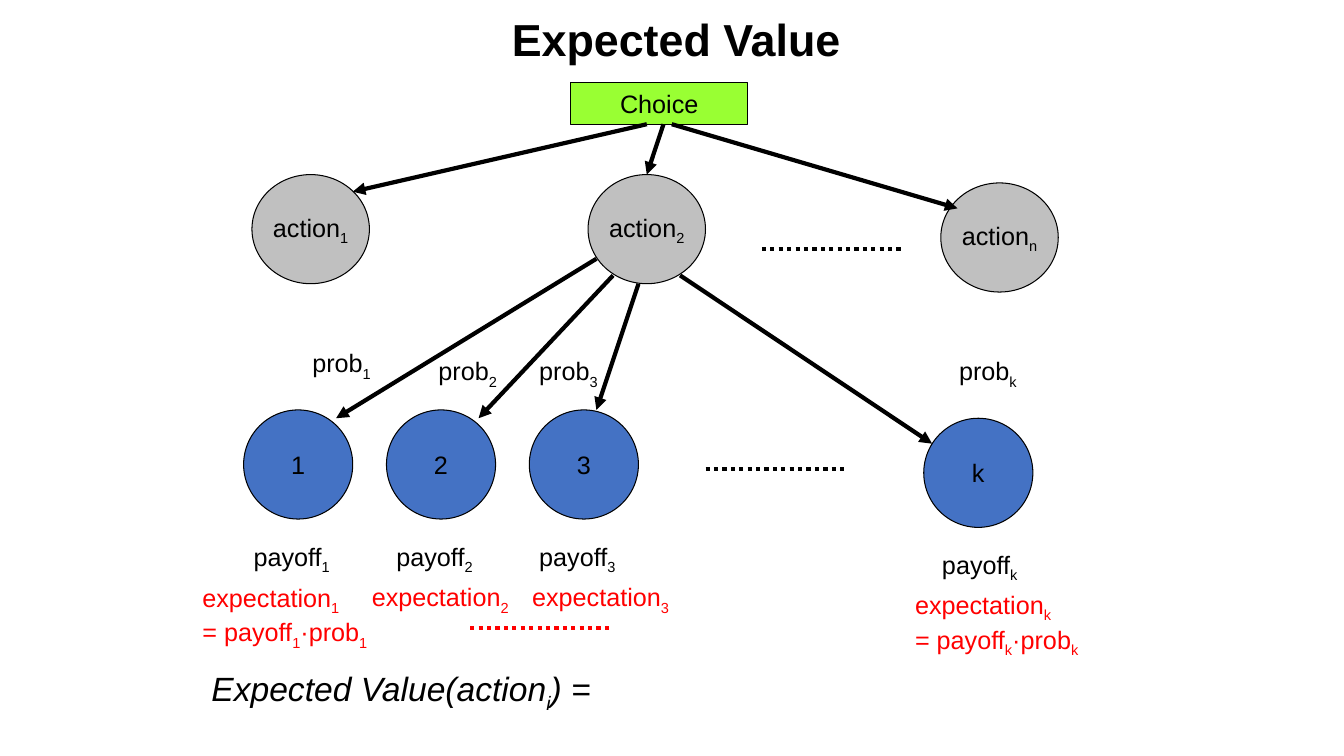
"""Build the Expected Value decision tree slide."""
from dataclasses import dataclass

from lxml.etree import SubElement
from pptx import Presentation
from pptx.dml.color import RGBColor
from pptx.enum.dml import MSO_LINE
from pptx.enum.shapes import MSO_CONNECTOR, MSO_SHAPE
from pptx.enum.text import MSO_ANCHOR, PP_ALIGN
from pptx.oxml.ns import qn
from pptx.util import Cm, Pt

TITLE = ("Expected Value", (7.42, 0.18, 19.25, 1.6))
FORMULA = ("Expected Value(action|i|) =", (5.08, 16.71, 11.23, 1.27))
CHOICE = ("Choice", (14.39, 2.08, 4.45, 1.06))
ACTIONS = [("1", 6.35, 4.4), ("2", 14.82, 4.4), ("n", 23.71, 4.61)]
OUTCOMES = [("1", 6.14, 10.33), ("2", 9.74, 10.33), ("3", 13.34, 10.33), ("k", 23.28, 10.54)]
PROBABILITIES = [("1", 7.62, 8.64), ("2", 10.8, 8.84), ("3", 13.34, 8.84), ("k", 23.92, 8.84)]
PAYOFFS = [("1", 6.14, 13.51), ("2", 9.74, 13.51), ("3", 13.34, 13.51), ("k", 23.49, 13.72)]
EXPECTATIONS = [("1", 4.85, 14.55), ("2", 9.12, 14.53), ("3", 13.16, 14.53), ("k", 22.81, 14.73)]
EXPLAINED = ("1", "k")
CHOICE_ARROWS = [((16.3, 3.13), (8.89, 4.83)), ((16.72, 3.13), (16.3, 4.4)),
                 ((16.93, 3.13), (24.13, 5.25))]
ACTION_ARROWS = [((15.03, 6.52), (8.47, 10.54)), ((15.45, 6.94), (12.06, 10.54)),
                 ((16.09, 7.15), (15.03, 10.33)), ((17.14, 6.94), (23.49, 11.18))]
DOTS_LENGTH = 3.6


@dataclass(frozen=True)
class Theme:
    """Colours, font and type sizes."""
    font: str = "Arial"
    black: RGBColor = RGBColor(0x00, 0x00, 0x00)
    red: RGBColor = RGBColor(0xFF, 0x00, 0x00)
    green: RGBColor = RGBColor(0x99, 0xFF, 0x33)
    grey: RGBColor = RGBColor(0xC0, 0xC0, 0xC0)
    blue: RGBColor = RGBColor(0x44, 0x72, 0xC4)
    title: int = 32
    formula: int = 24
    body: int = 18
    outline: float = 0.75
    stroke: int = 3


THEME = Theme()
DOTS = [(17.78, 11.81, THEME.black), (19.2, 6.27, THEME.black), (11.85, 15.83, THEME.red)]


def write(shape, lines, size=THEME.body, color=THEME.black, align=PP_ALIGN.LEFT,
          bold=False, italic=False):
    """Write lines whose parts between bars alternate normal and subscript."""
    frame = shape.text_frame
    for number, line in enumerate(lines):
        paragraph = frame.add_paragraph() if number else frame.paragraphs[0]
        paragraph.alignment = align
        for position, part in enumerate(line.split("|")):
            run = paragraph.add_run()
            run.text = part
            font = run.font
            font.name, font.size, font.color.rgb = THEME.font, Pt(size), color
            font.bold, font.italic = bold, italic
            if position % 2:
                run._r.get_or_add_rPr().set("baseline", "-25000")


def add_text(slide, lines, box, wrap=False, **style):
    """Add a text box."""
    shape = slide.shapes.add_textbox(*map(Cm, box))
    shape.text_frame.word_wrap = wrap
    write(shape, lines, **style)


def add_node(slide, kind, label, box, fill):
    """Add a filled tree node with a centred label."""
    shape = slide.shapes.add_shape(kind, *map(Cm, box))
    shape.shadow.inherit = False
    shape.fill.solid()
    shape.fill.fore_color.rgb = fill
    shape.line.color.rgb = THEME.black
    shape.line.width = Pt(THEME.outline)
    shape.text_frame.word_wrap = False
    shape.text_frame.vertical_anchor = MSO_ANCHOR.MIDDLE
    write(shape, [label], align=PP_ALIGN.CENTER)
    return shape


def add_line(slide, start, end, color=THEME.black):
    """Add a thick straight connector."""
    connector = slide.shapes.add_connector(MSO_CONNECTOR.STRAIGHT, *map(Cm, start + end))
    connector.line.color.rgb = color
    connector.line.width = Pt(THEME.stroke)
    SubElement(connector._element.spPr, qn("a:effectLst"))
    return connector


def add_arrow(slide, start, end):
    """Add a connector with a triangular head."""
    connector = add_line(slide, start, end)
    SubElement(connector.line._get_or_add_ln(), qn("a:tailEnd"), type="triangle")
    return connector


def main():
    """Lay out the tree and save the presentation."""
    presentation = Presentation()
    presentation.slide_width, presentation.slide_height = Cm(33.87), Cm(19.05)
    slide = presentation.slides.add_slide(presentation.slide_layouts[6])

    text, box = TITLE
    add_text(slide, [text], box, wrap=True, size=THEME.title, bold=True, align=PP_ALIGN.CENTER)
    text, box = CHOICE
    add_node(slide, MSO_SHAPE.RECTANGLE, text, box, THEME.green)

    actions = [add_node(slide, MSO_SHAPE.OVAL, f"action|{index}", (left, top, 2.96, 2.75), THEME.grey)
               for index, left, top in ACTIONS]
    for index, left, top in OUTCOMES:
        add_node(slide, MSO_SHAPE.OVAL, index, (left, top, 2.75, 2.75), THEME.blue)

    choice_arrows = [add_arrow(slide, start, end) for start, end in CHOICE_ARROWS]
    choice_arrows[1].end_connect(actions[1], 0)
    for start, end in ACTION_ARROWS:
        add_arrow(slide, start, end)
    for left, top, color in DOTS:
        dots = add_line(slide, (left, top), (left + DOTS_LENGTH, top), color)
        dots.line.dash_style = MSO_LINE.ROUND_DOT

    for word, width, places in (("prob", 2.01, PROBABILITIES), ("payoff", 2.46, PAYOFFS)):
        for index, left, top in places:
            add_text(slide, [f"{word}|{index}"], (left, top, width, 1.02))
    for index, left, top in EXPECTATIONS:
        lines, width, height = [f"expectation|{index}"], 3.99, 1.02
        if index in EXPLAINED:
            lines.append(f"= payoff|{index}|·prob|{index}")
            width, height = 4.78, 2.03
        add_text(slide, lines, (left, top, width, height), color=THEME.red)

    text, box = FORMULA
    add_text(slide, [text], box, wrap=True, size=THEME.formula, italic=True)
    presentation.save("out.pptx")


if __name__ == "__main__":
    main()
